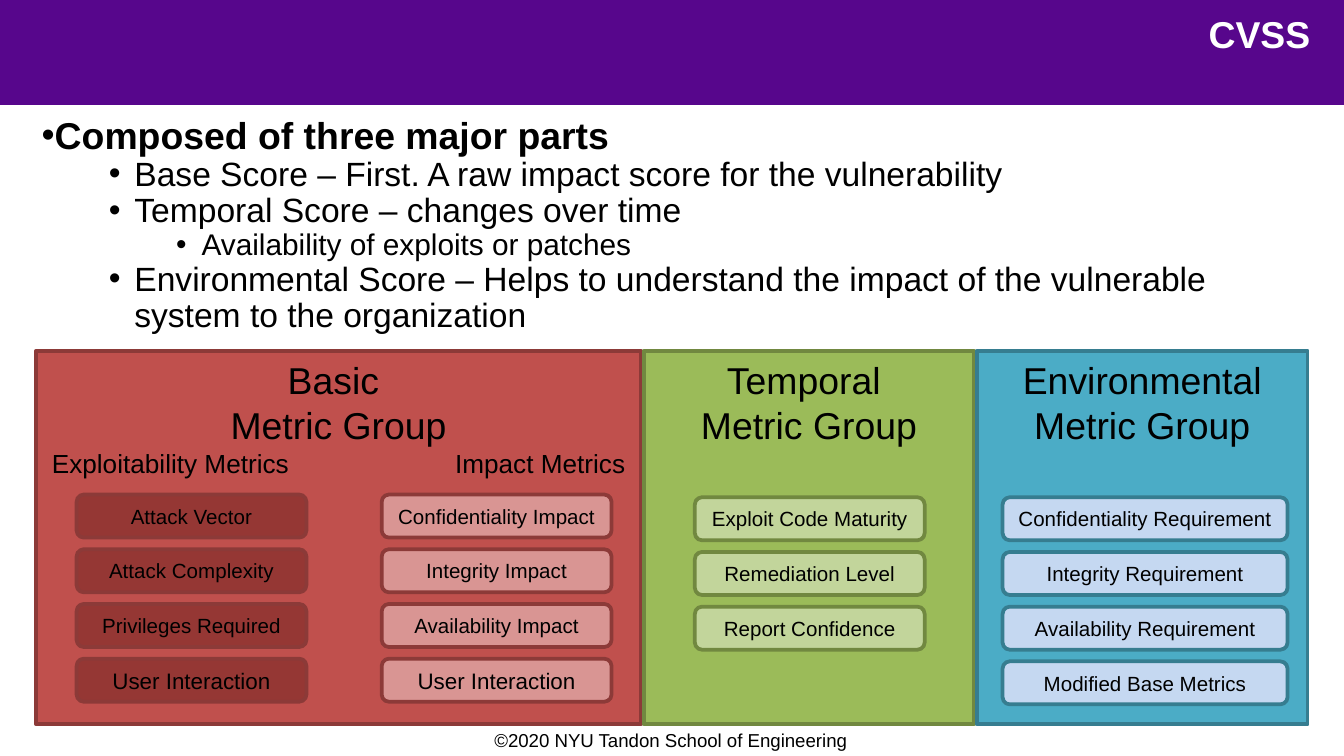
from dataclasses import dataclass

from lxml import etree
from pptx import Presentation
from pptx.dml.color import RGBColor
from pptx.enum.shapes import MSO_SHAPE
from pptx.enum.text import MSO_ANCHOR, PP_ALIGN
from pptx.oxml.ns import qn
from pptx.util import Emu, Inches, Pt

RECTANGLE, ROUNDED = MSO_SHAPE.RECTANGLE, MSO_SHAPE.ROUNDED_RECTANGLE
LEFT, CENTER, RIGHT = PP_ALIGN.LEFT, PP_ALIGN.CENTER, PP_ALIGN.RIGHT
TOP, MIDDLE = MSO_ANCHOR.TOP, MSO_ANCHOR.MIDDLE

COLORS = {
    "purple": "57068C", "black": "000000", "white": "FFFFFF",
    "red": "C0504D", "red line": "8C3A38", "dark red": "953734", "pink": "D99593",
    "green": "9BBB59", "green line": "718840", "pale green": "C2D59B",
    "blue": "4BACC6", "blue line": "367D90", "pale blue": "C5D8F1",
}
FONT = "Arial"

# A 16:9 slide, as a grid of square cells, 100 across
WIDTH = Inches(10)
HEIGHT = Emu(WIDTH * 9 // 16)
CELL = WIDTH / 100
PANEL_TOP, PANEL_HEIGHT = 26.1, 27.8
PILL_HEIGHT, PILL_PITCH = 3.2, 4.07
TAB_STOPS = (20, 30)


@dataclass
class PillColumn:
    left: float
    top: float
    width: float
    fill: str
    labels: list[str]


@dataclass
class MetricGroup:
    left: float
    width: float
    fill: str
    line: str
    heading: list[tuple[str, int]]
    columns: list[PillColumn]


GROUPS = [
    MetricGroup(
        2.7, 45, "red", "red line",
        [("Basic ", 20), ("Metric Group", 20), ("Exploitability Metrics\t\tImpact Metrics", 14)],
        [PillColumn(5.7, 36.8, 17.1, "dark red",
                    ["Attack Vector", "Attack Complexity", "Privileges Required", "User Interaction"]),
         PillColumn(28.4, 36.8, 17.1, "pink",
                    ["Confidentiality Impact", "Integrity Impact", "Availability Impact",
                     "User Interaction"])]),
    MetricGroup(
        47.9, 24.6, "green", "green line", [("Temporal ", 20), ("Metric Group", 20)],
        [PillColumn(51.7, 37, 17.1, "pale green",
                    ["Exploit Code Maturity", "Remediation Level", "Report Confidence"])]),
    MetricGroup(
        72.7, 24.6, "blue", "blue line", [("Environmental", 20), ("Metric Group", 20)],
        [PillColumn(74.6, 37, 21.2, "pale blue",
                    ["Confidentiality Requirement", "Integrity Requirement",
                     "Availability Requirement", "Modified Base Metrics"])]),
]

# Text, level and size of each bullet
BULLETS = [
    ("Composed of three major parts", 0, 20),
    ("Base Score – First. A raw impact score for the vulnerability", 1, 18),
    ("Temporal Score – changes over time", 1, 18),
    ("Availability of exploits or patches", 2, 16),
    ("Environmental Score – Helps to understand the impact of the vulnerable "
     "system to the organization", 1, 18),
]


def color(name: str) -> RGBColor:
    return RGBColor.from_string(COLORS[name])


def cells(*counts: float) -> list[Emu]:
    return [Emu(round(count * CELL)) for count in counts]


def write(frame, text: str, *, size: int, ink: str = "black", bold: bool = False,
          align=LEFT, level: int | None = None) -> None:
    """Add one paragraph; a level makes it a bullet."""
    first = frame.paragraphs[0]
    paragraph = frame.add_paragraph() if first.runs else first
    paragraph.alignment = align
    properties = paragraph._p.get_or_add_pPr()
    if level is not None:
        paragraph.level = level
        paragraph.line_spacing = 0.9
        margin, indent = (Inches(0.19 + level * 0.5), Inches(-0.19)) if level else (0, 0)
        properties.set("marL", str(margin))
        properties.set("indent", str(indent))
        bullet_color = etree.SubElement(properties, qn("a:buClr"))
        etree.SubElement(bullet_color, qn("a:srgbClr"), val=COLORS[ink])
        etree.SubElement(properties, qn("a:buFont"), typeface=FONT)
        etree.SubElement(properties, qn("a:buChar"), char="•")
    if "\t" in text:
        tab_list = etree.SubElement(properties, qn("a:tabLst"))
        for position in cells(*TAB_STOPS):
            etree.SubElement(tab_list, qn("a:tab"), pos=str(position), algn="l")
    run = paragraph.add_run()
    run.text = text
    run.font.name = FONT
    run.font.size = Pt(size)
    run.font.bold = bold
    run.font.color.rgb = color(ink)


def add_text_frame(slide, left: float, top: float, width: float, height: float,
                   inset: bool = False):
    frame = slide.shapes.add_textbox(*cells(left, top, width, height)).text_frame
    frame.word_wrap = True
    if not inset:
        frame.margin_left = frame.margin_right = frame.margin_top = frame.margin_bottom = 0
    return frame


def add_block(slide, kind, left: float, top: float, width: float, height: float, *,
              fill: str, line: str | None = None, anchor=MIDDLE):
    shape = slide.shapes.add_shape(kind, *cells(left, top, width, height))
    shape.shadow.inherit = False
    shape.fill.solid()
    shape.fill.fore_color.rgb = color(fill)
    if line:
        shape.line.color.rgb = color(line)
        shape.line.width = Pt(2)
    else:
        shape.line.fill.background()
    shape.text_frame.word_wrap = True
    shape.text_frame.vertical_anchor = anchor
    return shape.text_frame


def add_group(slide, group: MetricGroup) -> None:
    panel = add_block(slide, RECTANGLE, group.left, PANEL_TOP, group.width, PANEL_HEIGHT,
                      fill=group.fill, line=group.line, anchor=TOP)
    for text, size in group.heading:
        write(panel, text, size=size, align=CENTER)
    for column in group.columns:
        for row, label in enumerate(column.labels):
            pill = add_block(slide, ROUNDED, column.left, column.top + row * PILL_PITCH,
                             column.width, PILL_HEIGHT, fill=column.fill, line=group.line)
            write(pill, label, size=12 if label == "User Interaction" else 11, align=CENTER)


def main() -> None:
    presentation = Presentation()
    presentation.slide_width, presentation.slide_height = WIDTH, HEIGHT
    slide = presentation.slides.add_slide(presentation.slide_layouts[6])

    # Header band, footer and title
    add_block(slide, RECTANGLE, 0, 0, 100, 7.8, fill="purple")
    footer = add_text_frame(slide, 35.8, 53.7, 28.5, 2.9, inset=True)
    write(footer, "©2020 NYU Tandon School of Engineering", size=10)
    title = add_text_frame(slide, 26.1, 0.8, 71.4, 6.4)
    write(title, "CVSS", size=20, ink="white", bold=True, align=RIGHT)

    # Bullets
    body = add_text_frame(slide, 3.1, 8.7, 93.8, 17.7)
    for text, level, size in BULLETS:
        write(body, text, size=size, bold=level == 0, level=level)

    # Metric groups
    for group in GROUPS:
        add_group(slide, group)

    presentation.save("out.pptx")


if __name__ == "__main__":
    main()
